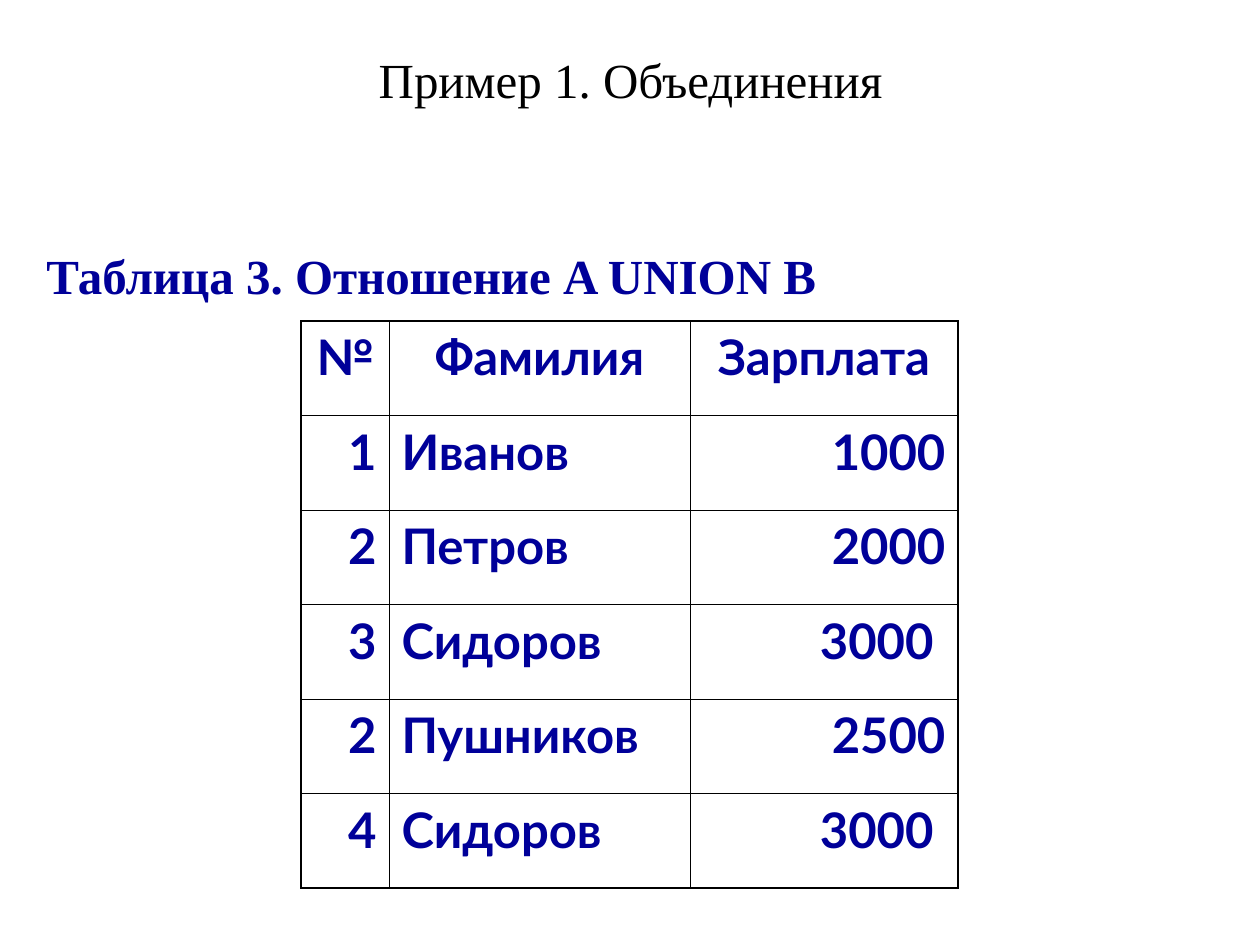
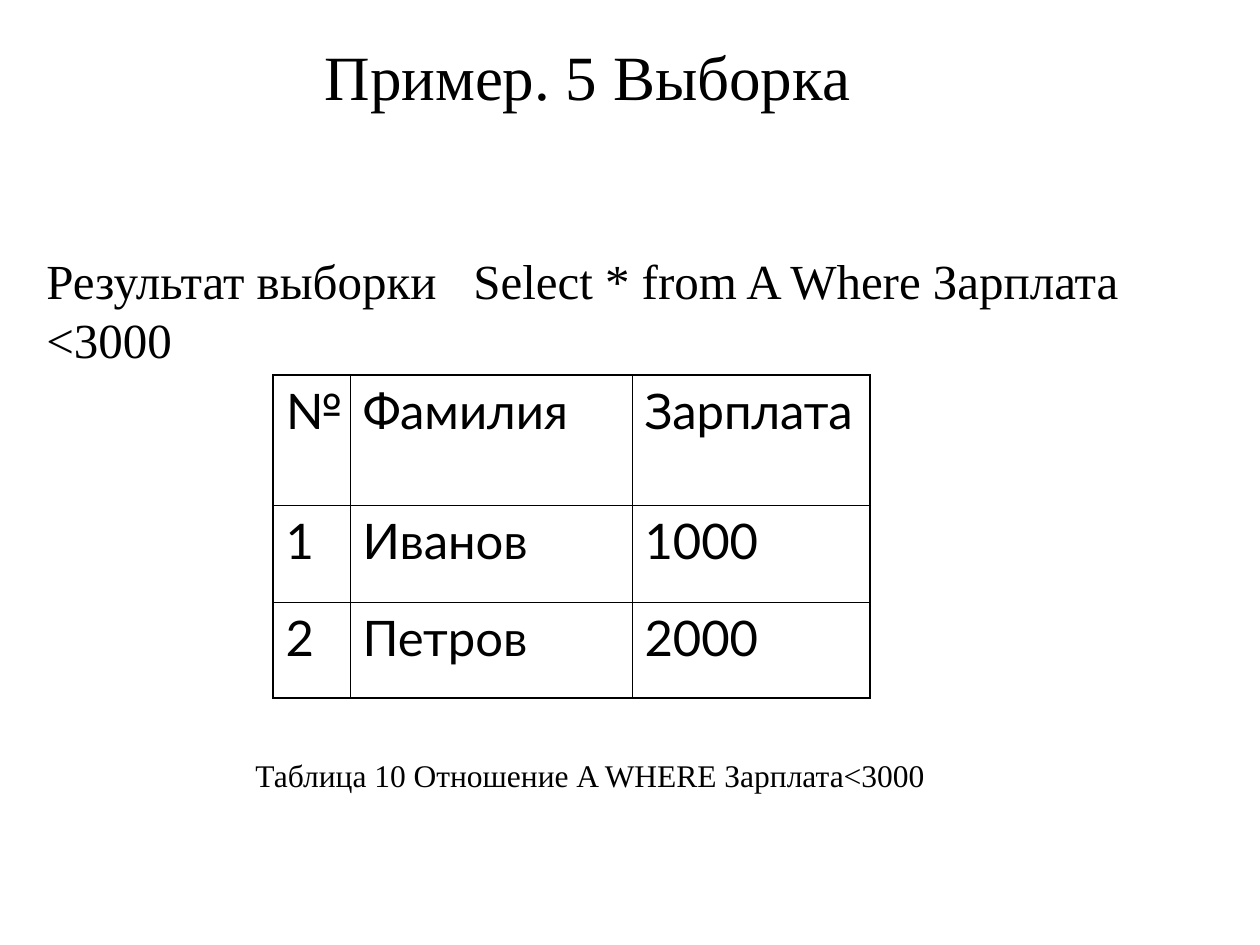
import pptx
import pptx.dml.color
import pptx.enum.text
import pptx.oxml
import pptx.oxml.ns
import pptx.util
from lxml import etree

PX = 914400 / 126
BLACK = "000000"
NAVY = "000099"
SERIF = "Times New Roman"
SANS = "Lato"
THIN, THICK = 0.45, 1.08
ALIGN = pptx.enum.text.PP_ALIGN
ANCHOR = pptx.enum.text.MSO_ANCHOR
AUTO_SIZE = pptx.enum.text.MSO_AUTO_SIZE
qn = pptx.oxml.ns.qn


def px(length):
    return pptx.util.Emu(round(length * PX))


def color(value):
    return pptx.dml.color.RGBColor.from_string(value)


def style(paragraph, face, size, ink, bold, align):
    paragraph.alignment = align
    for run in paragraph.runs:
        run.font.name = face
        run.font.size = pptx.util.Pt(size)
        run.font.bold = bold
        run.font.color.rgb = color(ink)


def add_text(slide, box, text, size, ink=BLACK, bold=False, align=ALIGN.LEFT, tab=None):
    frame = slide.shapes.add_textbox(*map(px, box)).text_frame
    frame.word_wrap = True
    frame.auto_size = AUTO_SIZE.SHAPE_TO_FIT_TEXT
    frame.text = text
    paragraph = frame.paragraphs[0]
    if tab:
        tabs = etree.SubElement(paragraph._p.get_or_add_pPr(), qn("a:tabLst"))
        etree.SubElement(tabs, qn("a:tab"), pos=str(px(tab)), algn="l")
    style(paragraph, SERIF, size, ink, bold, align)
    return frame


def add_title(slide, box, text, size):
    frame = add_text(slide, box, text, size, align=ALIGN.CENTER)
    frame.auto_size = AUTO_SIZE.NONE
    frame.vertical_anchor = ANCHOR.MIDDLE


def add_border(cell, side, width):
    properties = cell._tc.get_or_add_tcPr()
    line = etree.SubElement(properties, qn("a:ln" + side), w=str(pptx.util.Pt(width)))
    fill = etree.SubElement(line, qn("a:solidFill"))
    etree.SubElement(fill, qn("a:srgbClr"), val=BLACK)


def add_relation(slide, box, columns, records, ink, bold, aligns, header_aligns, heights=None):
    rows = [("№", "Фамилия", "Зарплата")] + records
    table = slide.shapes.add_table(len(rows), len(columns), *map(px, box)).table
    table.first_row = table.horz_banding = False
    for column, width in zip(table.columns, columns):
        column.width = px(width)
    heights = heights or [box[3] / len(rows)] * len(rows)
    for r, values in enumerate(rows):
        table.rows[r].height = px(heights[r])
        for c, value in enumerate(values):
            cell = table.cell(r, c)
            outer = {"L": c == 0, "R": c == len(columns) - 1,
                     "T": r == 0, "B": r == len(rows) - 1}
            for side, is_outer in outer.items():
                add_border(cell, side, THICK if is_outer else THIN)
            cell.fill.background()
            cell.text = value
            align = (aligns if r else header_aligns)[c]
            style(cell.text_frame.paragraphs[0], SANS, 28, ink, bold, align)


def build_union(slide):
    add_title(slide, (95, 35, 1071, 88), "Пример 1. Объединения", 28)
    records = [("1", "Иванов", "1000"), ("2", "Петров", "2000"), ("3", "Сидоров", "3000 "),
               ("2", "Пушников", "2500"), ("4", "Сидоров", "3000 ")]
    add_relation(slide, (301, 321, 657, 567), (88, 301, 268), records, NAVY, True,
                 (ALIGN.RIGHT, ALIGN.LEFT, ALIGN.RIGHT), [ALIGN.CENTER] * 3)
    add_text(slide, (34, 239, 925, 72), "Таблица 3. Отношение A UNION B", 28, NAVY, True)


def build_selection(slide):
    add_title(slide, (95, 32, 985, 87), "Пример. 5 Выборка", 36)
    records = [("1", "Иванов", "1000"), ("2", "Петров", "2000")]
    left = [ALIGN.LEFT] * 3
    add_relation(slide, (273, 375, 597, 323), (77, 282, 238), records, BLACK, False,
                 left, left, (130, 97, 96))
    add_text(slide, (34, 244, 1160, 131),
             "Результат выборки\tSelect * from A Where Зарплата <3000", 28, tab=427)
    add_text(slide, (243, 750, 774, 50), "Таблица 10 Отношение A WHERE Зарплата<3000", 18)


def main():
    deck = pptx.Presentation()
    deck.slide_width, deck.slide_height = px(1260), px(945)
    for build in (build_union, build_selection):
        build(deck.slides.add_slide(deck.slide_layouts[6]))
    deck.save("out.pptx")


if __name__ == "__main__":
    main()
